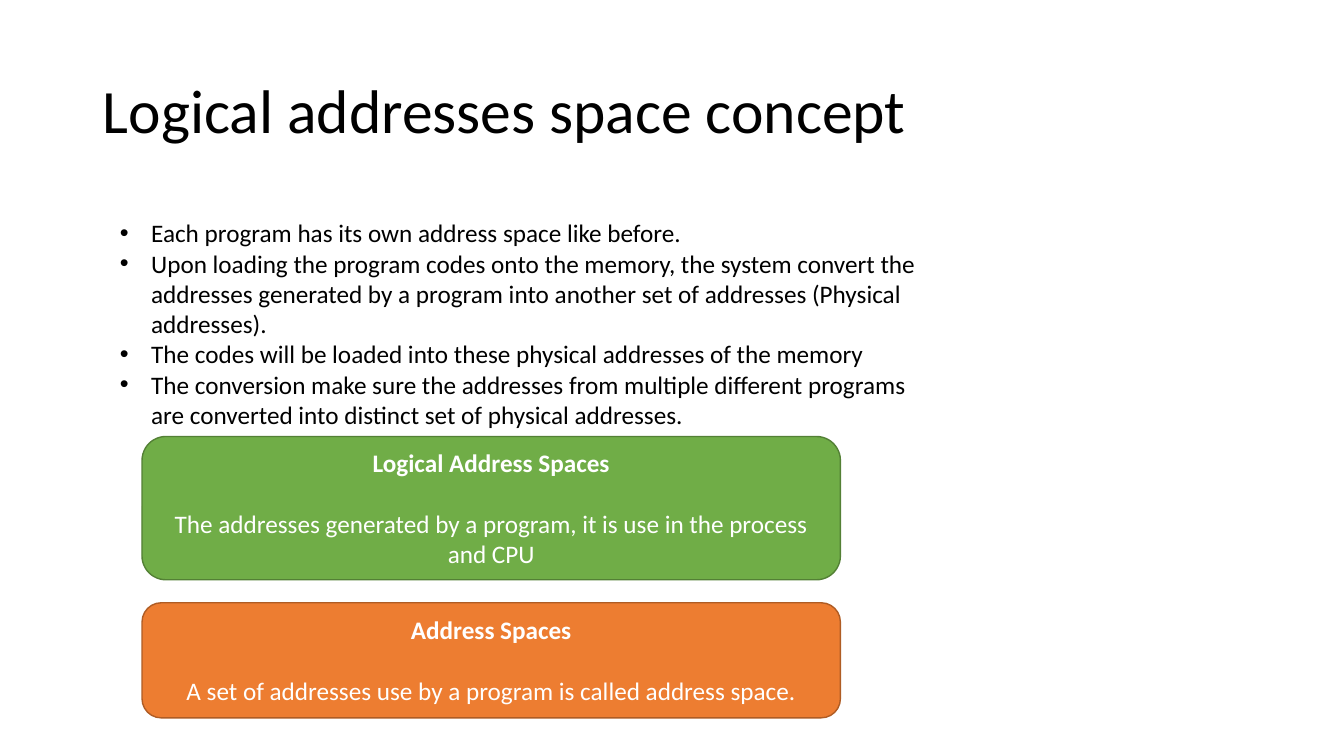
from dataclasses import dataclass

from lxml.etree import SubElement
from pptx import Presentation
from pptx.dml.color import RGBColor
from pptx.enum.shapes import MSO_SHAPE
from pptx.enum.text import MSO_ANCHOR, PP_ALIGN
from pptx.oxml.ns import qn
from pptx.util import Cm, Pt


@dataclass(frozen=True)
class Theme:
    font: str = "Calibri"
    ink: str = "000000"
    light: str = "FFFFFF"
    green: tuple = ("70AD47", "538035")
    orange: tuple = ("ED7D31", "AF5C24")
    head: int = 44
    body: int = 18
    gap: int = 22


class Deck:
    def __init__(self, theme, slide):
        self.theme = theme
        self.slide = slide

    def style(self, para, size, color, bold=False):
        for run in para.runs:
            font = run.font
            font.name = self.theme.font
            font.size = Pt(size)
            font.bold = bold
            font.color.rgb = RGBColor.from_string(color)

    def box(self, left, top, width, height):
        shape = self.slide.shapes.add_textbox(
            Cm(left), Cm(top), Cm(width), Cm(height))
        shape.text_frame.word_wrap = True
        return shape.text_frame

    def title(self, text, *area):
        frame = self.box(*area)
        frame.vertical_anchor = MSO_ANCHOR.MIDDLE
        frame.text = text
        para = frame.paragraphs[0]
        para.line_spacing = 0.9
        self.style(para, self.theme.head, self.theme.ink)

    def bullets(self, items, *area):
        frame = self.box(*area)
        frame.text = "\n".join(items)
        for para in frame.paragraphs:
            props = para._p.get_or_add_pPr()
            props.set("marL", str(Cm(0.79)))
            props.set("indent", str(-Cm(0.79)))
            SubElement(props, qn("a:buFont"), typeface="Arial")
            SubElement(props, qn("a:buChar"), char="•")
            self.style(para, self.theme.body, self.theme.ink)

    def card(self, term, text, colors, *area):
        shape = self.slide.shapes.add_shape(
            MSO_SHAPE.ROUNDED_RECTANGLE, *map(Cm, area))
        fill, line = colors
        shape.shadow.inherit = False
        shape.fill.solid()
        shape.fill.fore_color.rgb = RGBColor.from_string(fill)
        shape.line.color.rgb = RGBColor.from_string(line)
        shape.line.width = Pt(1)
        frame = shape.text_frame
        frame.word_wrap = True
        frame.vertical_anchor = MSO_ANCHOR.MIDDLE
        frame.text = f"{term}\n{text}"
        name, note = frame.paragraphs
        name.space_after = Pt(self.theme.gap)
        for para in (name, note):
            para.alignment = PP_ALIGN.CENTER
            self.style(para, self.theme.body, self.theme.light, para is name)


def main():
    show = Presentation()
    show.slide_width, show.slide_height = Cm(33.87), Cm(19.05)
    theme = Theme()
    deck = Deck(theme, show.slides.add_slide(show.slide_layouts[6]))

    # Heading
    deck.title("Logical addresses space concept", 2.34, 1.02, 29.21, 3.68)

    # Main points
    deck.bullets([
        "Each program has its own address space like before.",
        "Upon loading the program codes onto the memory, the system convert "
        "the addresses generated by a program into another set of addresses "
        "(Physical addresses).",
        "The codes will be loaded into these physical addresses of the memory",
        "The conversion make sure the addresses from multiple different "
        "programs are converted into distinct set of physical addresses.",
    ], 2.77, 5.36, 20.9, 5.64)

    # Definitions
    cards = [
        ("Logical Address Spaces",
         "The addresses generated by a program, it is use in the process "
         "and CPU", theme.green, 11, 3.61),
        ("Address Spaces",
         "A set of addresses use by a program is called address space.",
         theme.orange, 15.19, 2.9),
    ]
    for term, text, colors, top, height in cards:
        deck.card(term, text, colors, 3.58, top, 17.6, height)

    show.save("out.pptx")


if __name__ == "__main__":
    main()
